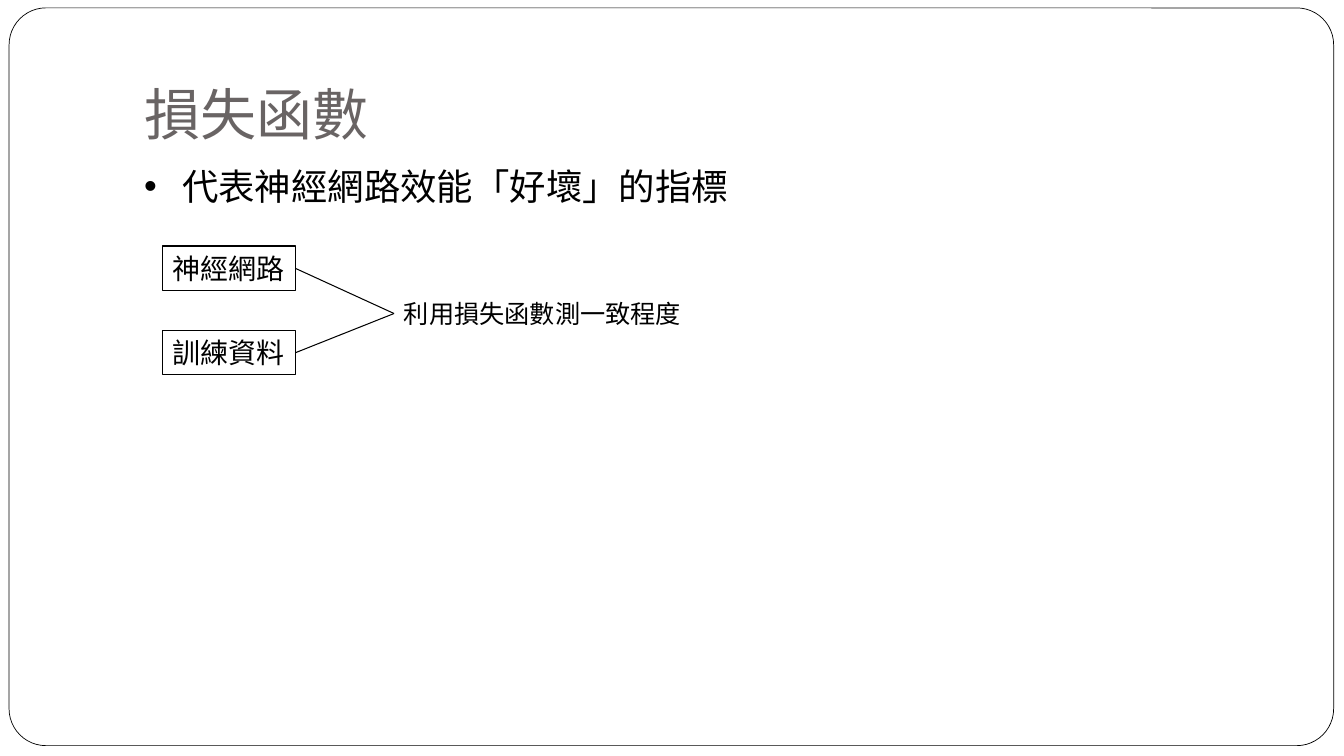
from lxml import etree
from pptx import Presentation
from pptx.dml.color import RGBColor
from pptx.enum.shapes import MSO_CONNECTOR, MSO_SHAPE
from pptx.enum.text import MSO_ANCHOR, MSO_AUTO_SIZE, PP_ALIGN
from pptx.oxml.ns import qn
from pptx.util import Cm, Pt

STRAIGHT = MSO_CONNECTOR.STRAIGHT
RECTANGLE, ROUNDED = MSO_SHAPE.RECTANGLE, MSO_SHAPE.ROUNDED_RECTANGLE
TOP, MIDDLE, BOTTOM = MSO_ANCHOR.TOP, MSO_ANCHOR.MIDDLE, MSO_ANCHOR.BOTTOM
FIT_SHAPE, NO_FIT = MSO_AUTO_SIZE.SHAPE_TO_FIT_TEXT, MSO_AUTO_SIZE.NONE
LEFT = PP_ALIGN.LEFT
LEFT_SITE, RIGHT_SITE = 1, 3

HEADING_FONT, BODY_FONT = "Cabin", "Times New Roman"
BLACK, WHITE, GREY, ORANGE = "000000", "FFFFFF", "696464", "D34817"


def color(hex_value):
    return RGBColor.from_string(hex_value)


def place(shape, box):
    shape.left, shape.top, shape.width, shape.height = (Cm(n) for n in box)


def write(shape, text, size, font=BODY_FONT, ink=BLACK, anchor=TOP):
    frame = shape.text_frame
    frame.text = text
    frame.vertical_anchor = anchor
    paragraph = frame.paragraphs[0]
    paragraph.alignment = LEFT
    paragraph.font.name = font
    paragraph.font.size = Pt(size)
    paragraph.font.color.rgb = color(ink)
    return frame


def hug_text(frame):
    frame.word_wrap = False
    frame.auto_size = FIT_SHAPE


def add_bullet(paragraph, indent):
    properties = paragraph._p.get_or_add_pPr()
    properties.set("marL", str(Cm(indent)))
    properties.set("indent", str(-Cm(indent)))
    bullet_color = etree.SubElement(properties, qn("a:buClr"))
    etree.SubElement(bullet_color, qn("a:srgbClr"), val=ORANGE)
    etree.SubElement(properties, qn("a:buSzPct"), val="85000")
    etree.SubElement(properties, qn("a:buChar"), char="●")


def add_border(slide, box):
    """Rounded page border, behind everything else."""
    border = slide.shapes.add_shape(ROUNDED, *(Cm(n) for n in box))
    border.adjustments[0] = 0.05
    border.shadow.inherit = False
    border.fill.solid()
    border.fill.fore_color.rgb = color(WHITE)
    border.line.color.rgb = color(BLACK)
    border.line.width = Pt(0.5)
    slide.shapes._spTree.insert(2, border._element)


def fill_title(slide, box):
    title = slide.shapes.title
    place(title, box)
    frame = write(title, "損失函數", 40, HEADING_FONT, GREY, BOTTOM)
    frame.auto_size = NO_FIT
    frame.margin_bottom = Cm(0.25)


def fill_body(slide, box):
    body = slide.placeholders[1]
    place(body, box)
    add_bullet(body.text_frame.paragraphs[0], 0.76)
    frame = write(body, "代表神經網路效能「好壞」的指標", 26)
    frame.auto_size = NO_FIT
    frame.paragraphs[0].space_before = Pt(0)


def add_input(slide, text, box):
    source = slide.shapes.add_shape(RECTANGLE, *(Cm(n) for n in box))
    source.shadow.inherit = False
    source.fill.background()
    source.line.color.rgb = color(BLACK)
    source.line.width = Pt(0.75)
    hug_text(write(source, text, 20, anchor=MIDDLE))
    return source


def link(slide, source, target):
    connector = slide.shapes.add_connector(STRAIGHT, 0, 0, 0, 0)
    connector.begin_connect(source, RIGHT_SITE)
    connector.end_connect(target, LEFT_SITE)
    connector.line.color.rgb = color(BLACK)
    connector.line.width = Pt(0.75)
    etree.SubElement(connector._element.spPr, qn("a:effectLst"))


def add_comparison(slide, box):
    """Two stacked inputs on the left, joined to one measure on the right."""
    left, top, width, height = box
    input_width, input_height = 3.35, 1.12
    measure_left, measure_height = 5.84, 1.02
    measure = slide.shapes.add_textbox(
        Cm(left + measure_left), Cm(top + 1.19),
        Cm(width - measure_left), Cm(measure_height))
    hug_text(write(measure, "利用損失函數測一致程度", 18))
    pitch = height - input_height
    for row, text in enumerate(("神經網路", "訓練資料")):
        source = add_input(
            slide, text, (left, top + row * pitch, input_width, input_height))
        link(slide, source, measure)


def main():
    deck = Presentation()
    deck.slide_width, deck.slide_height = Cm(33.87), Cm(19.05)
    slide = deck.slides.add_slide(deck.slide_layouts[1])
    add_border(slide, (0.23, 0.2, 33.38, 18.59))
    fill_title(slide, (3.38, 0.76, 28.78, 3.18))
    fill_body(slide, (3.38, 4.01, 28.78, 1.63))
    add_comparison(slide, (4.09, 6.2, 13.41, 3.25))
    deck.save("out.pptx")


if __name__ == "__main__":
    main()
